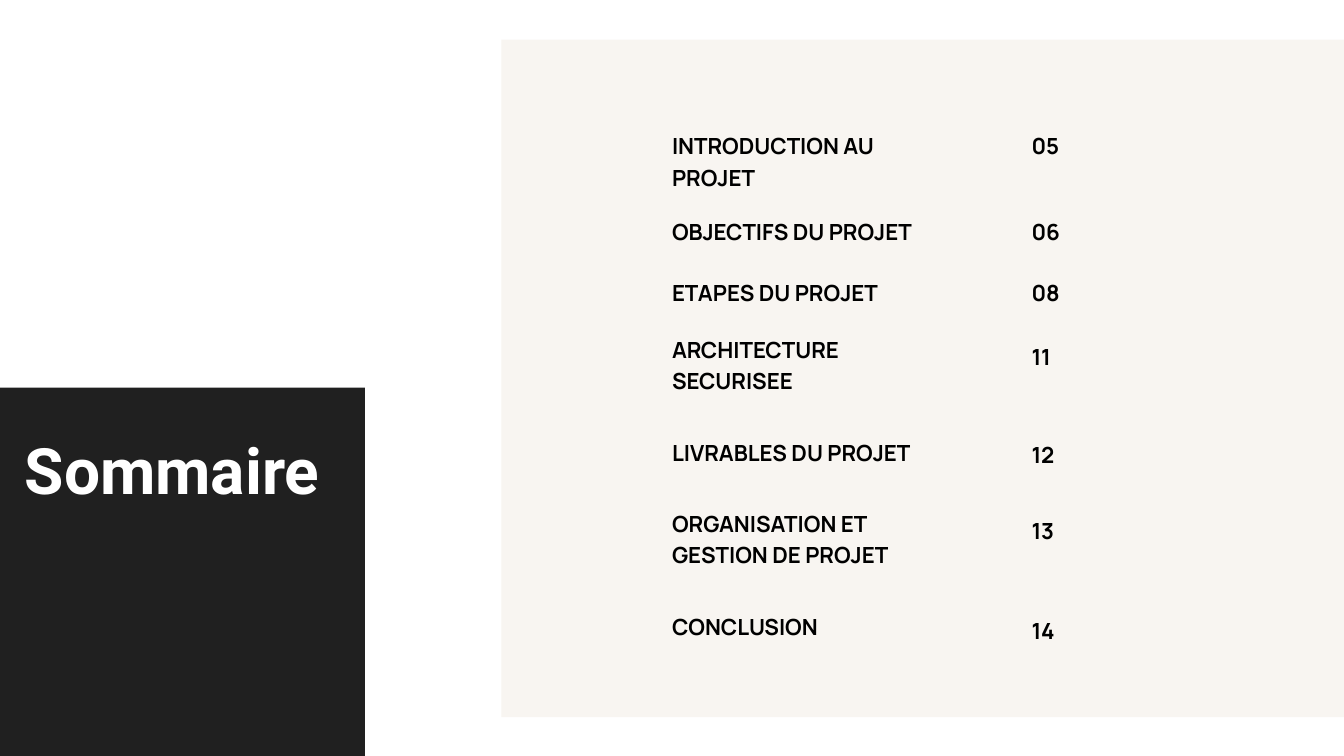
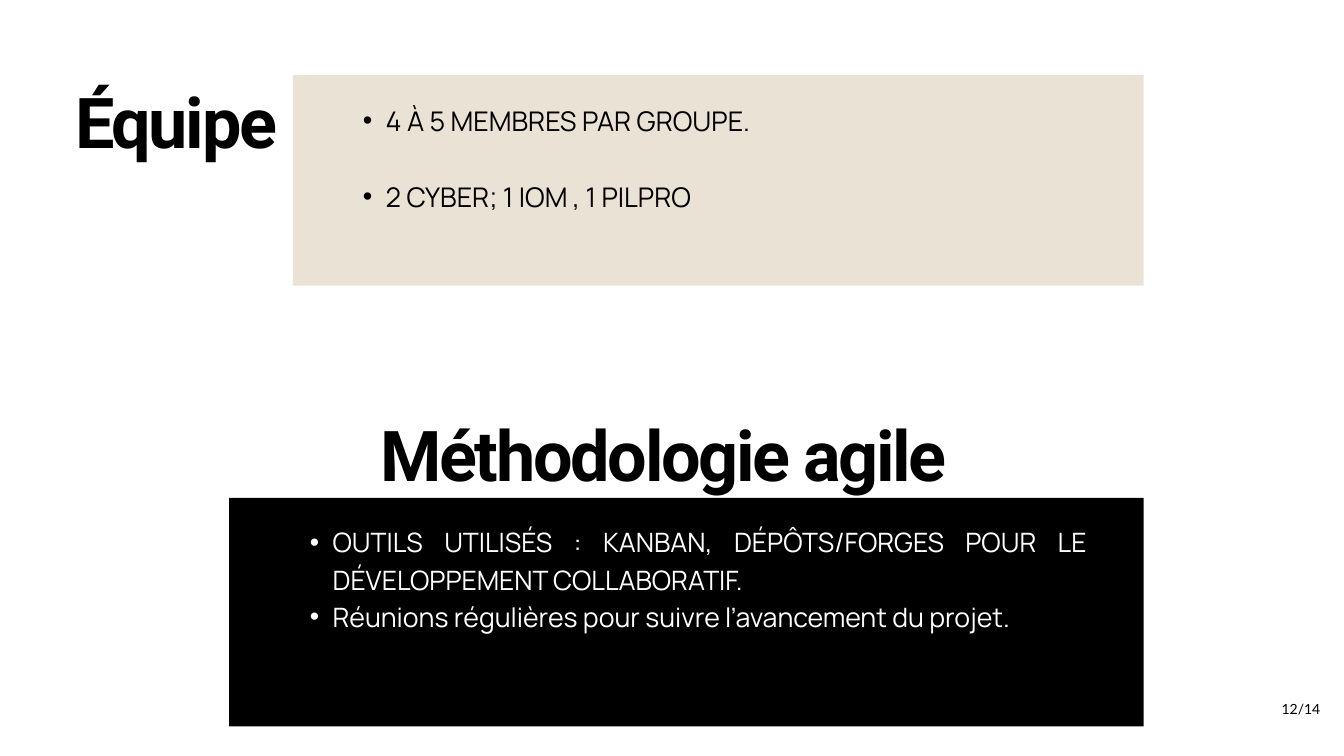
from dataclasses import dataclass

from lxml import etree
from pptx import Presentation
from pptx.dml.color import RGBColor as Rgb
from pptx.enum.shapes import MSO_SHAPE as Kind
from pptx.enum.text import MSO_ANCHOR as Anchor, MSO_AUTO_SIZE as Fit, PP_ALIGN as Align
from pptx.oxml.ns import qn
from pptx.util import Inches, Pt


@dataclass(frozen=True)
class Theme:
    black: str = "000000"
    white: str = "FFFFFF"
    dark: str = "202020"
    cream: str = "F8F5F1"
    sand: str = "EBE2D6"
    head: str = "Roboto"
    body: str = "Manrope"
    foot: str = "Lato"
    cover: float = 68.5
    title: float = 75.1
    entry: float = 23.8
    team: float = 29
    method: float = 28.6
    page: float = 15
    lead: float = 1.4  # line height as a share of the type size


T = Theme()


def write(slide, text, box, holder=None, font=T.body, size=T.entry, color=T.black,
          bold=False, track=0, align=Align.LEFT, anchor=Anchor.TOP, bullet=False, gap=0):
    """Put text, one paragraph per line, in a placeholder or a new text box."""
    area = [Inches(v) for v in box]
    shape = holder or slide.shapes.add_textbox(*area)
    shape.left, shape.top, shape.width, shape.height = area
    frame = shape.text_frame
    frame.word_wrap, frame.auto_size = True, Fit.NONE
    frame.vertical_anchor = anchor
    frame.margin_left = frame.margin_top = frame.margin_right = frame.margin_bottom = 0
    frame.text = text
    for i, para in enumerate(frame.paragraphs):
        if bullet:
            props = para._p.get_or_add_pPr()
            props.set("marL", str(Inches(0.68)))
            props.set("indent", str(Inches(-0.34)))
            etree.SubElement(props, qn("a:buChar")).set("char", "•")
        para.alignment = align
        para.line_spacing = Pt(round(size * T.lead, 1))
        para.space_before = Pt(gap if i else 0)
        for run in para.runs:
            run.font.name, run.font.size, run.font.bold = font, Pt(size), bold
            run.font.color.rgb = Rgb.from_string(color)
            if track:
                run.font._element.set("spc", str(int(track * 100)))


def band(slide, box, color):
    """Lay a plain coloured block behind the text."""
    shape = slide.shapes.add_shape(Kind.RECTANGLE, *[Inches(v) for v in box])
    shape.shadow.inherit = False
    shape.fill.solid()
    shape.fill.fore_color.rgb = Rgb.from_string(color)
    shape.line.fill.background()
    slide.shapes._spTree.insert(2, shape._element)


deck = Presentation()
deck.slide_width, deck.slide_height = Inches(20), Inches(11.25)

# Contents
slide = deck.slides.add_slide(deck.slide_layouts.get_by_name("Title Only"))
band(slide, (7.46, 0.59, 12.54, 10.08), T.cream)
band(slide, (0, 5.77, 5.43, 5.48), T.dark)
write(slide, "Sommaire", (0.37, 6.21, 4.69, 1.29), slide.shapes.title,
      font=T.head, size=T.cover, color=T.white, bold=True)

# Entry, page, top of the entry, top of the page number
entries = [
    ("INTRODUCTION AU PROJET", "05", 1.91, 1.91),
    ("OBJECTIFS DU PROJET", "06", 3.18, 3.18),
    ("ETAPES DU PROJET", "08", 4.09, 4.09),
    ("ARCHITECTURE SECURISEE", "11", 4.94, 5.04),
    ("LIVRABLES DU PROJET", "12", 6.47, 6.5),
    ("ORGANISATION ET GESTION DE PROJET", "13", 7.53, 7.63),
    ("CONCLUSION", "14", 9.06, 9.12),
]
for label, page, top, level in entries:
    write(slide, label, (10, top, 3.81, 0.92), bold=True)
    write(slide, page, (15.35, level, 1.15, 0.47), bold=True)

# Team and method
slide = deck.slides.add_slide(deck.slide_layouts.get_by_name("Two Content"))
title, team, method = slide.placeholders
head = dict(font=T.head, size=T.title, bold=True, track=-2.5)

band(slide, (4.36, 1.12, 12.66, 3.13), T.sand)
write(slide, "Équipe", (1.12, 0.96, 3.23, 1.42), title, **head)
write(slide, "4 À 5 MEMBRES PAR GROUPE.\n2 CYBER; 1 IOM , 1 PILPRO",
      (5.06, 1.47, 12.66, 2.25), team, size=T.team, bullet=True, gap=T.team * T.lead)

band(slide, (3.41, 7.41, 13.61, 3.4), T.black)
write(slide, "Méthodologie agile", (5.23, 5.92, 9.29, 1.42), align=Align.CENTER, **head)
write(slide, "OUTILS UTILISÉS : KANBAN, DÉPÔTS/FORGES POUR LE DÉVELOPPEMENT COLLABORATIF.\n"
      "Réunions régulières pour suivre l’avancement du projet.",
      (4.27, 7.75, 11.9, 2.76), method, size=T.method, color=T.white,
      align=Align.JUSTIFY, bullet=True)

# Page number
write(slide, "12/14", (18.97, 10.26, 0.78, 0.55), font=T.foot, size=T.page,
      align=Align.CENTER, anchor=Anchor.MIDDLE)

deck.save("out.pptx")
